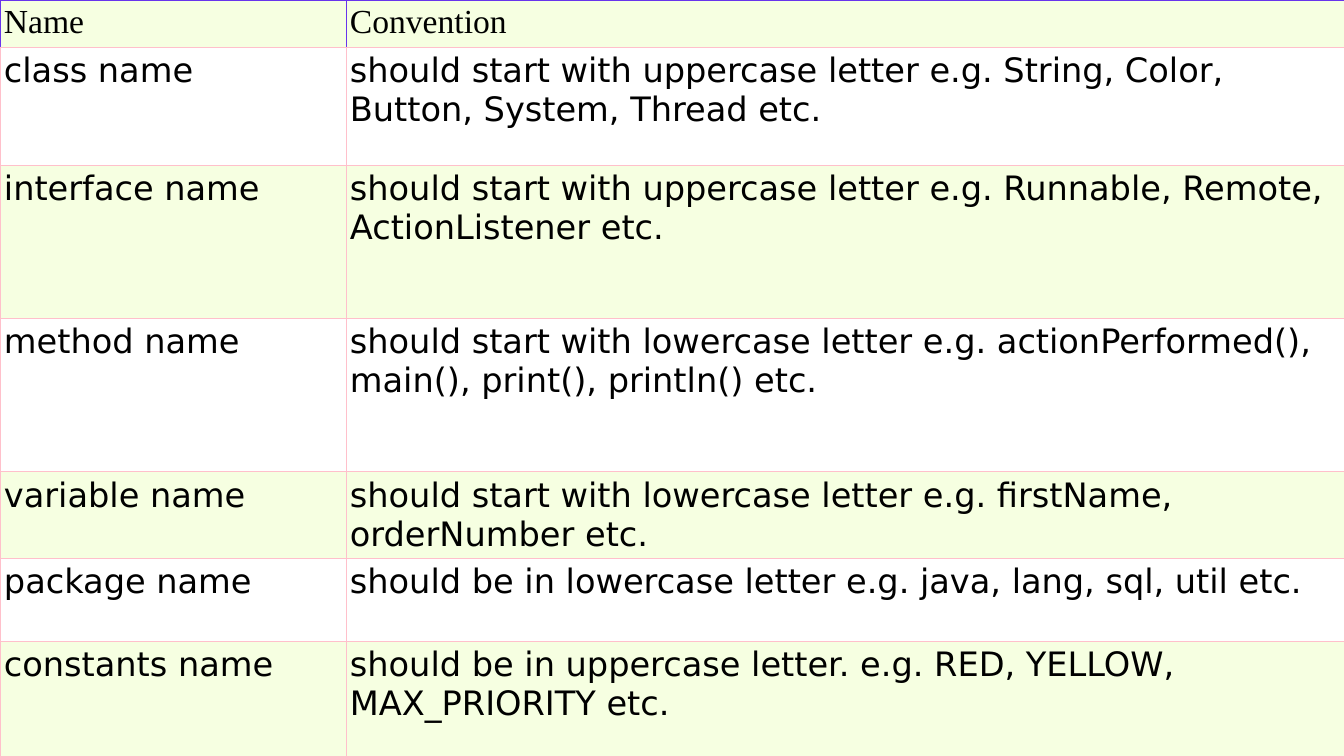
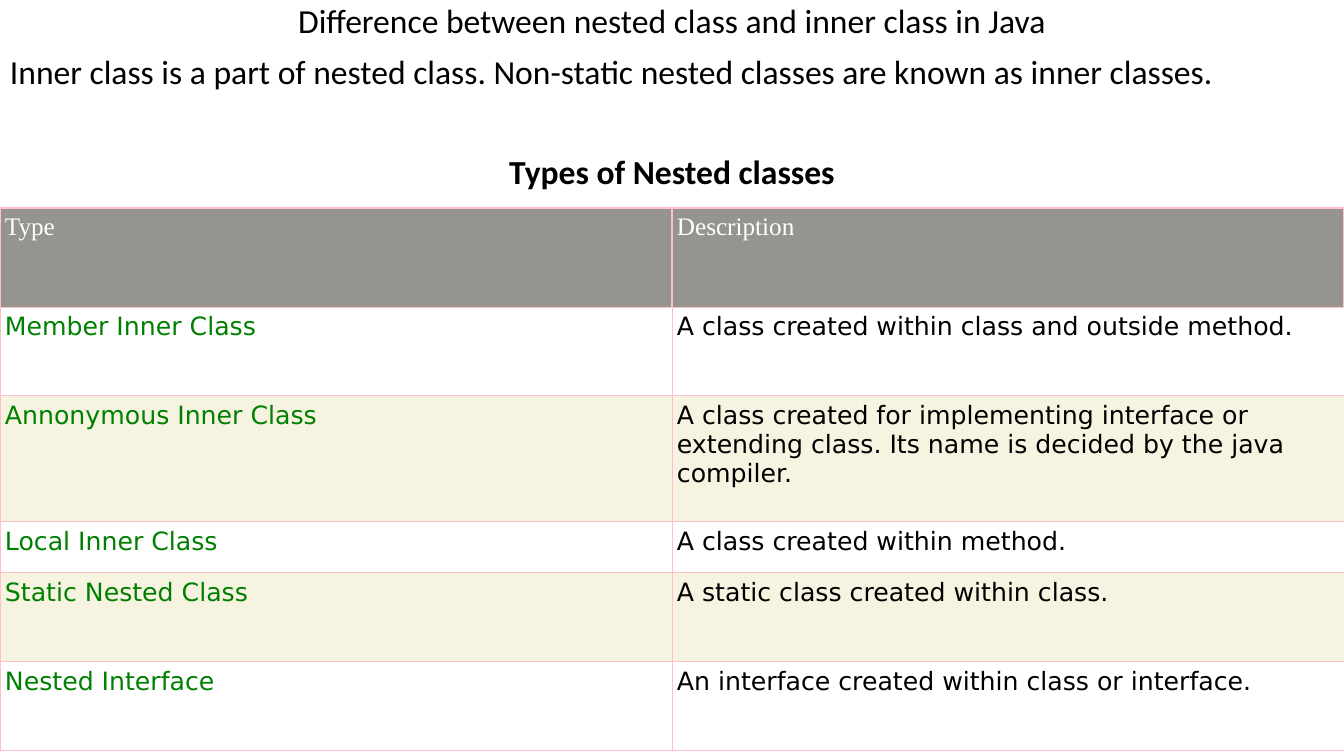
from dataclasses import dataclass

import lxml.etree
import pptx
import pptx.dml.color
import pptx.enum.text
import pptx.oxml.ns
import pptx.util

EMU_PER_PX = 914400 / 100.8
SLIDE_WIDTH, SLIDE_HEIGHT = 1344, 756

COLORS = {
    "text": "000000",
    "white": "FFFFFF",
    "green_band": "F6FFE1",
    "cream_band": "F6F4E1",
    "gray": "95948E",
    "type_name": "008000",
    "pink": "FFC0CB",
    "violet": "6834EC",
}
HEADER_FONT, BODY_FONT, TITLE_FONT = "Times New Roman", "DejaVu Sans", "Calibri"
TITLE_SIZE = 24
ALIGN = pptx.enum.text.PP_ALIGN


@dataclass(frozen=True)
class TextStyle:
    font: str
    size: int
    color: str = "text"
    bold: bool = False


@dataclass(frozen=True)
class Border:
    color: str
    width: float


@dataclass(frozen=True)
class TableDesign:
    top: int
    columns: tuple[int, ...]
    rows: tuple[int, ...]
    margin: int
    size: int
    header_fill: str
    header_color: str
    header_border: Border
    band_fill: str
    name_color: str


@dataclass(frozen=True)
class Line:
    text: str
    align: ALIGN = ALIGN.CENTER
    space_before: int = 10
    bold: bool = False


GRID = Border("pink", 0.75)

CONVENTION_DESIGN = TableDesign(
    top=0, columns=(346, 998), rows=(47, 118, 153, 154, 83, 83, 118),
    margin=4, size=24, header_fill="green_band", header_color="text",
    header_border=Border("violet", 0.75), band_fill="green_band", name_color="text",
)
CONVENTIONS = (
    ("Name", "Convention"),
    ("class name", "should start with uppercase letter e.g. String, Color, Button, System, Thread etc."),
    ("interface name", "should start with uppercase letter e.g. Runnable, Remote, ActionListener etc."),
    ("method name", "should start with lowercase letter e.g. actionPerformed(), main(), print(), println() etc."),
    ("variable name", "should start with lowercase letter e.g. firstName, orderNumber etc."),
    ("package name", "should be in lowercase letter e.g. java, lang, sql, util etc."),
    ("constants name", "should be in uppercase letter. e.g. RED, YELLOW, MAX_PRIORITY etc."),
)

NESTED_DESIGN = TableDesign(
    top=208, columns=(672, 672), rows=(99, 89, 126, 51, 89, 89),
    margin=5, size=18, header_fill="gray", header_color="white",
    header_border=Border("pink", 1), band_fill="cream_band", name_color="type_name",
)
NESTED_TYPES = (
    ("Type", "Description"),
    ("Member Inner Class", "A class created within class and outside method."),
    ("Annonymous Inner Class",
     "A class created for implementing interface or extending class. "
     "Its name is decided by the java compiler."),
    ("Local Inner Class", "A class created within method."),
    ("Static Nested Class", "A static class created within class."),
    ("Nested Interface", "An interface created within class or interface."),
)
NESTED_INTRO = (
    Line("Difference between nested class and inner class in Java"),
    Line("Inner class is a part of nested class. Non-static nested classes are known as inner classes.",
         align=ALIGN.LEFT),
    Line("Types of Nested classes", space_before=46, bold=True),
)


def px(length: int) -> pptx.util.Emu:
    return pptx.util.Emu(round(length * EMU_PER_PX))


def rgb(name: str) -> pptx.dml.color.RGBColor:
    return pptx.dml.color.RGBColor.from_string(COLORS[name])


def add_run(paragraph, text: str, style: TextStyle) -> None:
    run = paragraph.add_run()
    run.text = text
    run.font.name = style.font
    run.font.size = pptx.util.Pt(style.size)
    run.font.bold = style.bold
    run.font.color.rgb = rgb(style.color)


def set_border(cell, side: str, border: Border) -> None:
    qn = pptx.oxml.ns.qn
    properties = cell._tc.get_or_add_tcPr()
    line = lxml.etree.SubElement(properties, qn(f"a:ln{side}"), w=str(pptx.util.Pt(border.width)))
    fill = lxml.etree.SubElement(line, qn("a:solidFill"))
    lxml.etree.SubElement(fill, qn("a:srgbClr"), val=COLORS[border.color])


def format_cell(cell, text: str, style: TextStyle, fill: str, border: Border, margin: int) -> None:
    cell.margin_left = cell.margin_right = px(margin)
    cell.margin_top = cell.margin_bottom = px(margin)
    # Borders must precede the fill in the cell properties
    for side in "LRT":
        set_border(cell, side, border)
    set_border(cell, "B", GRID)
    cell.fill.solid()
    cell.fill.fore_color.rgb = rgb(fill)
    add_run(cell.text_frame.paragraphs[0], text, style)


def add_table(slide, design: TableDesign, content: tuple[tuple[str, str], ...]) -> None:
    table = slide.shapes.add_table(
        len(design.rows), len(design.columns), px(0), px(design.top),
        px(sum(design.columns)), px(sum(design.rows)),
    ).table
    table.first_row = table.horz_banding = False
    for column, width in zip(table.columns, design.columns):
        column.width = px(width)
    for row, height in zip(table.rows, design.rows):
        row.height = px(height)

    header_style = TextStyle(HEADER_FONT, design.size, design.header_color)
    body_styles = [TextStyle(BODY_FONT, design.size, color) for color in (design.name_color, "text")]
    for row_index, texts in enumerate(content):
        is_header = row_index == 0
        band = "white" if row_index % 2 else design.band_fill
        for column_index, text in enumerate(texts):
            format_cell(
                table.cell(row_index, column_index), text,
                header_style if is_header else body_styles[column_index],
                design.header_fill if is_header else band,
                design.header_border if is_header else GRID,
                design.margin,
            )


def add_intro(slide, lines: tuple[Line, ...]) -> None:
    frame = slide.shapes.add_textbox(px(0), px(0), px(SLIDE_WIDTH), px(SLIDE_HEIGHT)).text_frame
    frame.word_wrap = True
    for index, line in enumerate(lines):
        paragraph = frame.add_paragraph() if index else frame.paragraphs[0]
        paragraph.alignment = line.align
        paragraph.line_spacing = 0.9
        paragraph.space_before = pptx.util.Pt(line.space_before)
        add_run(paragraph, line.text, TextStyle(TITLE_FONT, TITLE_SIZE, bold=line.bold))


def add_blank_slide(presentation):
    return presentation.slides.add_slide(presentation.slide_layouts[6])


def main() -> None:
    presentation = pptx.Presentation()
    presentation.slide_width = px(SLIDE_WIDTH)
    presentation.slide_height = px(SLIDE_HEIGHT)

    # Naming conventions
    add_table(add_blank_slide(presentation), CONVENTION_DESIGN, CONVENTIONS)

    # Nested classes
    slide = add_blank_slide(presentation)
    add_intro(slide, NESTED_INTRO)
    add_table(slide, NESTED_DESIGN, NESTED_TYPES)

    presentation.save("out.pptx")


if __name__ == "__main__":
    main()
